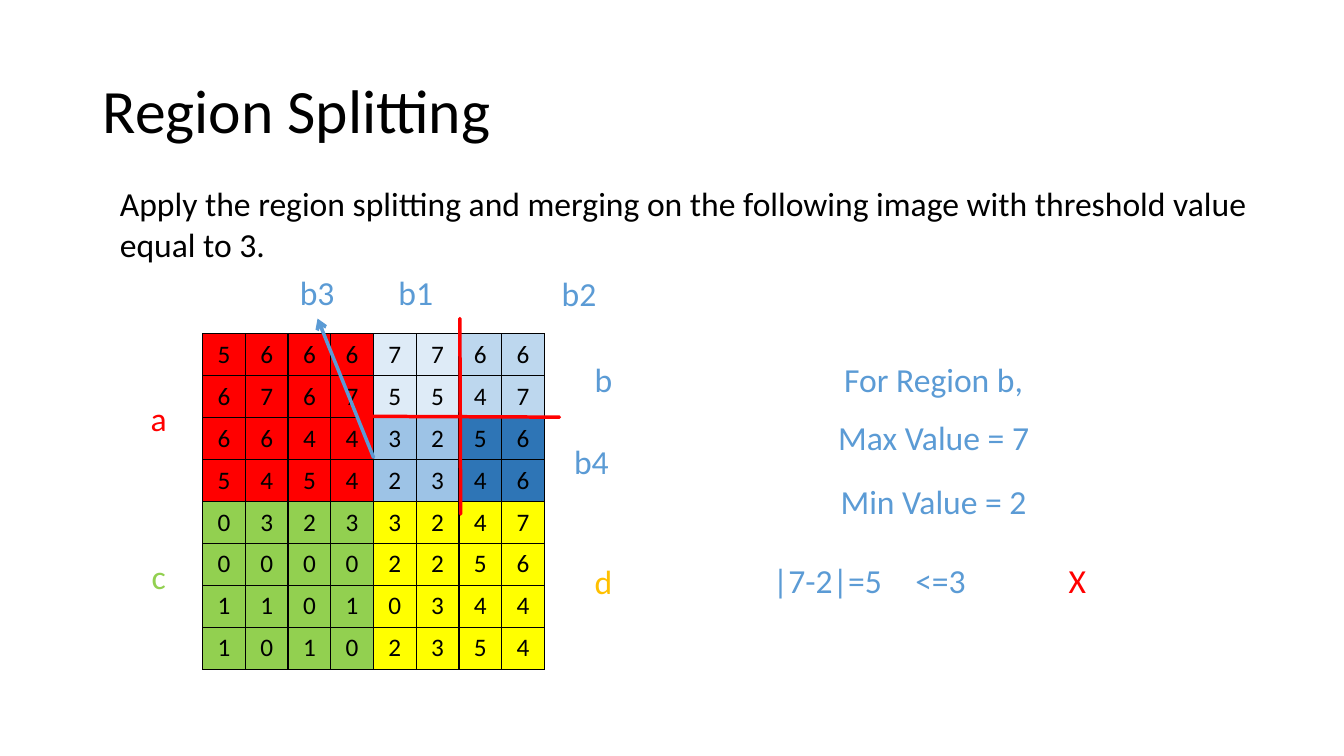
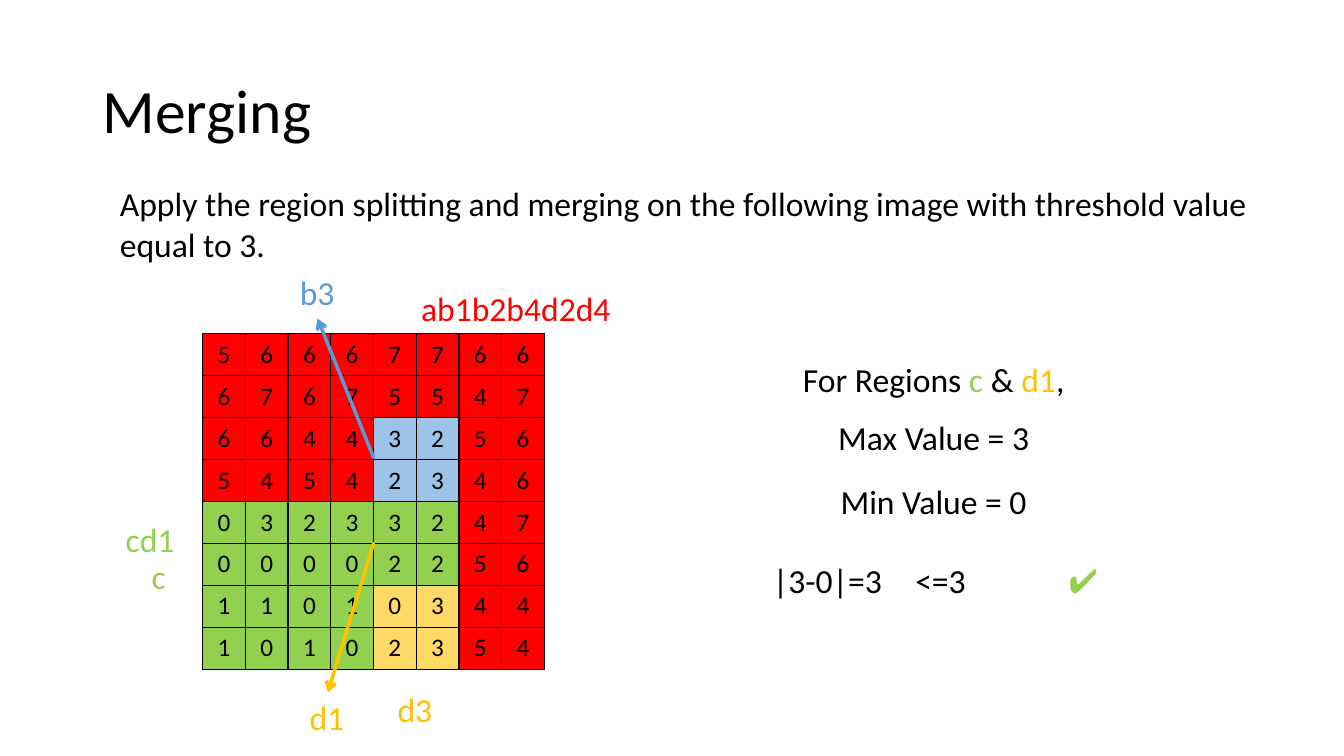
from lxml import etree
from pptx import Presentation
from pptx.dml.color import RGBColor
from pptx.enum.shapes import MSO_CONNECTOR
from pptx.enum.text import MSO_ANCHOR, MSO_AUTO_SIZE, PP_ALIGN
from pptx.oxml.ns import qn
from pptx.util import Inches, Pt

FONT = "Calibri"
BLACK, RED, BLUE = "000000", "FF0000", "5B9BD5"
GREEN, GOLD, YELLOW = "92D050", "FFC000", "FFFF00"
PALE_BLUE, LIGHT_BLUE, MID_BLUE, DARK_BLUE = "DEEBF7", "BDD7EE", "9DC3E6", "2E75B6"
PALE_GOLD = "FFD966"

TITLE_BOX = (0.92, 0.4, 11.5, 1.45)
TASK_BOX = (1.09, 1.77, 11.38, 0.91)
GRID_BOX = (2.01, 3.31, 3.39, 3.33)
CHECK_BOX = (6.92, 3.51, 4.68, 2.49)
LINE_HEIGHT = 0.5

TASK = ("Apply the region splitting and merging on the following image "
        "with threshold value equal to 3.")
PIXELS = ("56667766", "67675547", "66443256", "54542346",
          "03233247", "00002256", "11010344", "10102354")
CELLS = len(PIXELS)
BLOCK = 2  # cells along one side of the smallest region


def rgb(color):
    return RGBColor.from_string(color)


def style_font(font, size, color):
    for key, value in {"name": FONT, "size": Pt(size)}.items():
        setattr(font, key, value)
    font.color.rgb = rgb(color)


def add_text(slide, box, runs, size=24, align=PP_ALIGN.CENTER):
    """Write one paragraph; runs are (text, color) pairs."""
    frame = slide.shapes.add_textbox(*map(Inches, box)).text_frame
    frame.word_wrap = True
    frame.auto_size = MSO_AUTO_SIZE.SHAPE_TO_FIT_TEXT
    paragraph = frame.paragraphs[0]
    paragraph.alignment = align
    for text, color in runs:
        run = paragraph.add_run()
        run.text = text
        style_font(run.font, size, color)
    return frame


def add_heading(slide, title):
    frame = add_text(slide, TITLE_BOX, [(title, BLACK)], 44, PP_ALIGN.LEFT)
    frame.auto_size = MSO_AUTO_SIZE.NONE
    frame.vertical_anchor = MSO_ANCHOR.MIDDLE
    frame.paragraphs[0].line_spacing = 0.9
    add_text(slide, TASK_BOX, [(TASK, BLACK)], align=PP_ALIGN.LEFT)


def add_borders(cell):
    properties = cell._tc.get_or_add_tcPr()
    for side in ("a:lnL", "a:lnR", "a:lnT", "a:lnB"):
        border = etree.SubElement(properties, qn(side), w=str(Pt(1)))
        fill = etree.SubElement(border, qn("a:solidFill"))
        etree.SubElement(fill, qn("a:srgbClr"), val=BLACK)


def add_pixel_grid(slide, box, regions):
    """Draw the pixels; regions holds one fill for each block of cells."""
    table = slide.shapes.add_table(CELLS, CELLS, *map(Inches, box)).table
    table.first_row = table.horz_banding = False
    for column in table.columns:
        column.width = Inches(box[2] / CELLS)
    for r, (row, pixels) in enumerate(zip(table.rows, PIXELS)):
        row.height = Inches(box[3] / CELLS)
        for c, (cell, value) in enumerate(zip(row.cells, pixels)):
            add_borders(cell)
            cell.fill.solid()
            cell.fill.fore_color.rgb = rgb(regions[r // BLOCK][c // BLOCK])
            cell.vertical_anchor = MSO_ANCHOR.MIDDLE
            cell.text = value
            paragraph = cell.text_frame.paragraphs[0]
            paragraph.alignment = PP_ALIGN.CENTER
            style_font(paragraph.runs[0].font, 18, BLACK)


def grid_point(box, column, row):
    left, top, width, height = box
    return left + column * width / CELLS, top + row * height / CELLS


def add_label(slide, box, text, color, column, row, columns=1.5):
    """Centre a region name on a point given in columns and rows of the grid."""
    x, y = grid_point(box, column, row)
    width = columns * box[2] / CELLS
    add_text(slide, (x - width / 2, y - LINE_HEIGHT / 2, width, LINE_HEIGHT),
             [(text, color)])


def add_grid_line(slide, box, color, start, end, arrow=False):
    ends = (*grid_point(box, *start), *grid_point(box, *end))
    connector = slide.shapes.add_connector(MSO_CONNECTOR.STRAIGHT, *map(Inches, ends))
    connector.line.color.rgb = rgb(color)
    connector.line.width = Pt(2.5)
    properties = connector._element.spPr
    outline = properties.find(qn("a:ln"))
    outline.set("cap", "rnd")
    if arrow:
        etree.SubElement(outline, qn("a:tailEnd"), type="arrow")
    etree.SubElement(properties, qn("a:effectLst"))


def add_check(slide, box, heading, heading_share, high, low, color, verdict):
    """Show the threshold test of a region, ending in its verdict."""
    left, top, width, height = box

    def line(runs, x, y, share, align=PP_ALIGN.CENTER):
        add_text(slide, (left + x * width, top + y * height,
                         share * width, LINE_HEIGHT), runs, align=align)

    line(heading, (1 - heading_share) / 2, 0, heading_share)
    line([(f"Max Value = {high}", color)], 0.235, 0.23, 0.53)
    line([(f"Min Value = {low}", color)], 0.235, 0.485, 0.53)
    line([(f"|{high}-{low}|={high - low}", color)], 0.11, 0.8, 0.33)
    line([("<=3", color)], 0.44, 0.8, 0.33, PP_ALIGN.LEFT)
    line([verdict], 0.765, 0.8, 0.12, PP_ALIGN.LEFT)


def add_region_slide(deck, title, regions, labels, lines, check):
    slide = deck.slides.add_slide(deck.slide_layouts[6])
    add_heading(slide, title)
    add_pixel_grid(slide, GRID_BOX, regions)
    for label in labels:
        add_label(slide, GRID_BOX, *label)
    for line in lines:
        add_grid_line(slide, GRID_BOX, *line)
    add_check(slide, CHECK_BOX, **check)


B3_LABEL = ("b3", BLUE, 2.68, -0.98)
B3_ARROW = (BLUE, (4, 2.95), (2.69, -0.36), True)
C_LABEL = ("c", GREEN, -1.03, 5.79)

SPLITTING = {
    "title": "Region Splitting",
    "regions": [
        [RED, RED, PALE_BLUE, LIGHT_BLUE],
        [RED, RED, MID_BLUE, DARK_BLUE],
        [GREEN, GREEN, YELLOW, YELLOW],
        [GREEN, GREEN, YELLOW, YELLOW],
    ],
    "labels": [
        ("a", RED, -1.03, 2.02),
        ("b", BLUE, 9.38, 1.08),
        C_LABEL,
        ("d", GOLD, 9.38, 5.91),
        ("b1", BLUE, 4.99, -0.98),
        ("b2", BLUE, 8.81, -0.96),
        ("b4", BLUE, 9.1, 3.03),
        B3_LABEL,
    ],
    "lines": [
        (RED, (6.02, -0.36), (6.04, 4.3)),
        (RED, (3.66, 1.97), (8.35, 1.99)),
        B3_ARROW,
    ],
    "check": {
        "heading": [("For Region b,", BLUE)], "heading_share": 0.53,
        "high": 7, "low": 2, "color": BLUE, "verdict": ("X", RED),
    },
}

MERGING = {
    "title": "Merging",
    "regions": [
        [RED, RED, RED, RED],
        [RED, RED, MID_BLUE, RED],
        [GREEN, GREEN, GREEN, RED],
        [GREEN, GREEN, PALE_GOLD, RED],
    ],
    "labels": [
        C_LABEL,
        ("d1", GOLD, 2.91, 9.15),
        ("d3", GOLD, 4.97, 8.94),
        B3_LABEL,
        ("ab1b2b4d2d4", RED, 7.33, -0.6, 5),
        ("cd1", GREEN, -1.23, 4.9, 1.9),
    ],
    "lines": [
        (GOLD, (4, 5), (2.93, 8.55), True),
        B3_ARROW,
    ],
    "check": {
        "heading": [("For Regions ", BLACK), ("c", GREEN), (" & ", BLACK),
                    ("d1", GOLD), (",", BLACK)],
        "heading_share": 1,
        "high": 3, "low": 0, "color": BLACK, "verdict": ("✔", GREEN),
    },
}


def main():
    deck = Presentation()
    deck.slide_width, deck.slide_height = Inches(13.33), Inches(7.5)
    for content in (SPLITTING, MERGING):
        add_region_slide(deck, **content)
    deck.save("out.pptx")


if __name__ == "__main__":
    main()
